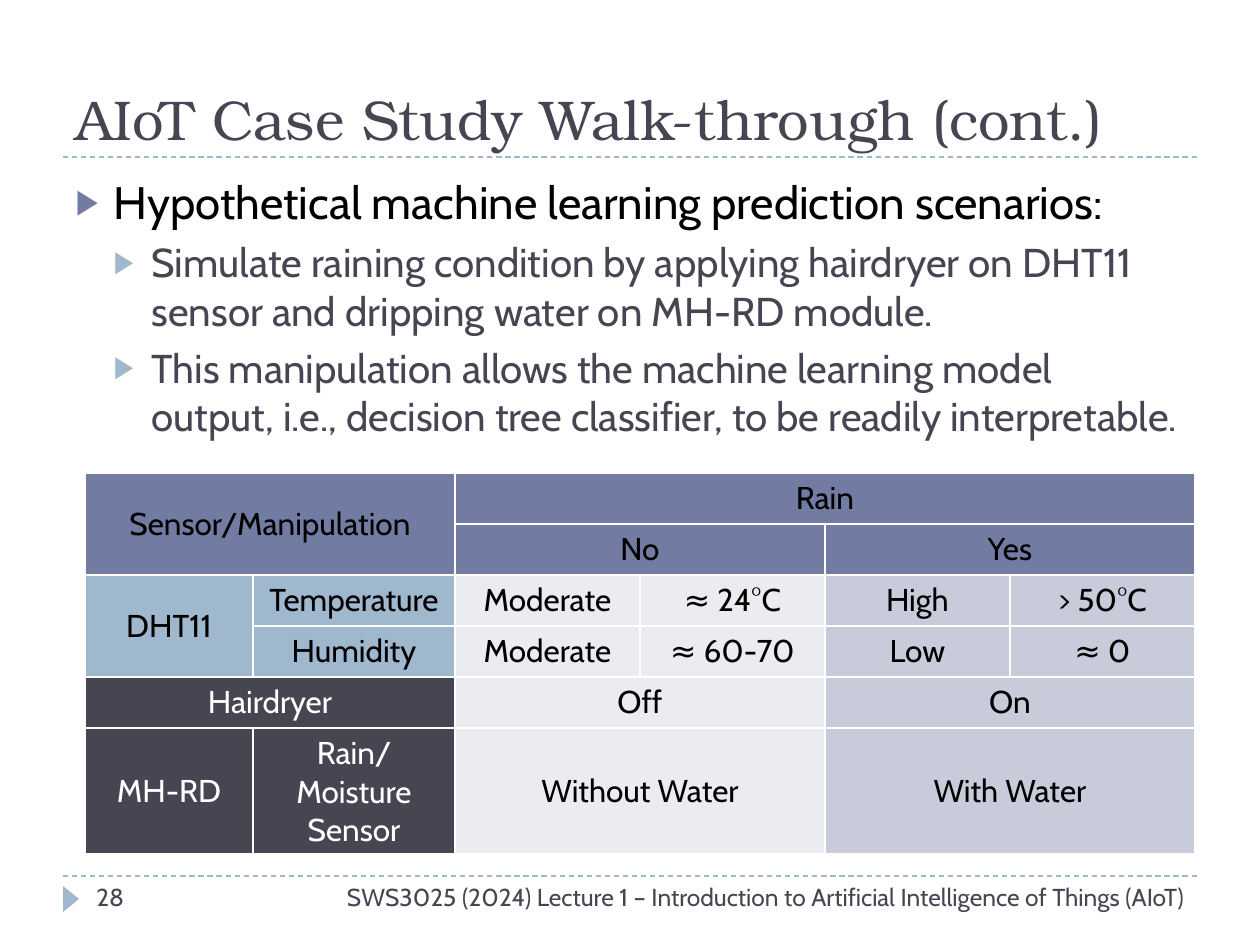
import dataclasses
import lxml.etree
import pptx
import pptx.dml.color
import pptx.enum.dml
import pptx.enum.shapes
import pptx.enum.text
import pptx.oxml.ns
import pptx.util


@dataclasses.dataclass
class Theme:
    ink: str = "464653"
    black: str = "000000"
    white: str = "FFFFFF"
    main: str = "727CA3"
    sky: str = "9FB8CD"
    pale: str = "EBECF0"
    mist: str = "C7CBDA"
    serif: str = "TeX Gyre Bonum"
    sans: str = "Cabin"
    head: int = 32
    lead: int = 26
    sub: int = 23
    cell: int = 18
    foot: int = 14


theme = Theme()
px = 914400 / 126
rgb = pptx.dml.color.RGBColor.from_string
qn = pptx.oxml.ns.qn
add = lxml.etree.SubElement
align = pptx.enum.text.PP_ALIGN
anchor = pptx.enum.text.MSO_ANCHOR


def box(*nums):
    return [round(n * px) for n in nums]


def style(para, size, color, face=theme.sans):
    for run in para.runs:
        run.font.size = pptx.util.Pt(size)
        run.font.name = face
        run.font.bold = False
        run.font.color.rgb = rgb(color)


deck = pptx.Presentation()
deck.slide_width, deck.slide_height = box(1260, 945)
slide = deck.slides.add_slide(deck.slide_layouts[1])
shapes = slide.shapes

for y in (876, 157):
    rule = shapes.add_connector(
        pptx.enum.shapes.MSO_CONNECTOR.STRAIGHT, *box(63, y, 1197, y))
    rule.line.color.rgb = rgb(theme.sky)
    rule.line.width = pptx.util.Pt(0.75)
    rule.line.dash_style = pptx.enum.dml.MSO_LINE.DASH
    add(rule._element.spPr, qn("a:effectLst"))

mark = shapes.add_shape(
    pptx.enum.shapes.MSO_SHAPE.ISOSCELES_TRIANGLE, *box(58, 891, 26, 16))
mark.rotation = 90
mark.shadow.inherit = False
mark.fill.solid()
mark.fill.fore_color.rgb = rgb(theme.sky)
mark.line.fill.background()

title = shapes.title
title.left, title.top, title.width, title.height = box(63, 32, 1134, 126)
frame = title.text_frame
frame.text = "AIoT Case Study Walk-through (cont.)"
frame.auto_size = pptx.enum.text.MSO_AUTO_SIZE.NONE
frame.vertical_anchor = anchor.BOTTOM
frame.paragraphs[0].alignment = align.LEFT
style(frame.paragraphs[0], theme.head, theme.ink, theme.serif)

notes = [
    ("SWS3025 (2024) Lecture 1 – Introduction to Artificial Intelligence "
     "of Things (AIoT)", 168, 1029, align.RIGHT),
    ("28", 84, 273, align.LEFT),
]
for text, x, wide, side in notes:
    frame = shapes.add_textbox(*box(x, 876, wide, 50)).text_frame
    frame.word_wrap = True
    frame.text = text
    frame.paragraphs[0].alignment = side
    style(frame.paragraphs[0], theme.foot, theme.ink)

body = slide.placeholders[1]
body.left, body.top, body.width, body.height = box(63, 168, 1133, 295)
frame = body.text_frame
frame.auto_size = pptx.enum.text.MSO_AUTO_SIZE.NONE
points = [
    (0, "Hypothetical machine learning prediction scenarios:"),
    (1, "Simulate raining condition by applying hairdryer on DHT11 sensor "
        "and dripping water on MH-RD module."),
    (1, "This manipulation allows the machine learning model output, i.e., "
        "decision tree classifier, to be readily interpretable."),
]
looks = [(theme.lead, theme.black, theme.main, 0),
         (theme.sub, theme.ink, theme.sky, 5)]
frame.text = "\n".join(text for level, text in points)
for para, (level, text) in zip(frame.paragraphs, points):
    size, color, tint, gap = looks[level]
    para.level = level
    props = para._p.get_or_add_pPr()
    props.set("marL", str(round(38 * (level + 1) * px)))
    props.set("indent", str(round(-38 * px)))
    add(add(props, qn("a:buClr")), qn("a:srgbClr"), val=tint)
    add(props, qn("a:buSzPct"), val="76000")
    add(props, qn("a:buFont"), typeface="Arial")
    add(props, qn("a:buChar"), char="▶")
    para.space_before = pptx.util.Pt(gap)
    style(para, size, color)

cols = [168, 202, 185, 185, 185, 185]
rows = [51] * 5 + [88]
table = shapes.add_table(
    len(rows), len(cols), *box(85, 473, sum(cols), sum(rows))).table
table.first_row = False
table.horz_banding = False
for col, wide in zip(table.columns, box(*cols)):
    col.width = wide
for row, high in zip(table.rows, box(*rows)):
    row.height = high

for cell in table.iter_cells():
    props = cell._tc.get_or_add_tcPr()
    for edge in ("a:lnL", "a:lnR", "a:lnT", "a:lnB"):
        line = add(props, qn(edge), w=str(pptx.util.Pt(1)))
        add(add(line, qn("a:solidFill")), qn("a:srgbClr"), val=theme.white)

cells = [
    (0, 0, 2, 2, "Sensor/Manipulation", theme.main),
    (0, 2, 1, 4, "Rain", theme.main),
    (1, 2, 1, 2, "No", theme.main),
    (1, 4, 1, 2, "Yes", theme.main),
    (2, 0, 2, 1, "DHT11", theme.sky),
    (2, 1, 1, 1, "Temperature", theme.sky),
    (2, 2, 1, 1, "Moderate", theme.pale),
    (2, 3, 1, 1, "≈ 24°C", theme.pale),
    (2, 4, 1, 1, "High", theme.mist),
    (2, 5, 1, 1, "> 50°C", theme.mist),
    (3, 1, 1, 1, "Humidity", theme.sky),
    (3, 2, 1, 1, "Moderate", theme.pale),
    (3, 3, 1, 1, "≈ 60-70", theme.pale),
    (3, 4, 1, 1, "Low", theme.mist),
    (3, 5, 1, 1, "≈ 0", theme.mist),
    (4, 0, 1, 2, "Hairdryer", theme.ink),
    (4, 2, 1, 2, "Off", theme.pale),
    (4, 4, 1, 2, "On", theme.mist),
    (5, 0, 1, 1, "MH-RD", theme.ink),
    (5, 1, 1, 1, "Rain/Moisture Sensor", theme.ink),
    (5, 2, 1, 2, "Without Water", theme.pale),
    (5, 4, 1, 2, "With Water", theme.mist),
]
for row, col, down, over, text, fill in cells:
    cell = table.cell(row, col)
    if down * over > 1:
        cell.merge(table.cell(row + down - 1, col + over - 1))
    cell.fill.solid()
    cell.fill.fore_color.rgb = rgb(fill)
    cell.margin_left = cell.margin_right = pptx.util.Inches(0.05)
    cell.margin_top = cell.margin_bottom = pptx.util.Inches(0.05)
    cell.vertical_anchor = anchor.MIDDLE
    cell.text_frame.text = text
    para = cell.text_frame.paragraphs[0]
    para.alignment = align.CENTER
    style(para, theme.cell, theme.white if fill == theme.ink else theme.black)

deck.save("out.pptx")
